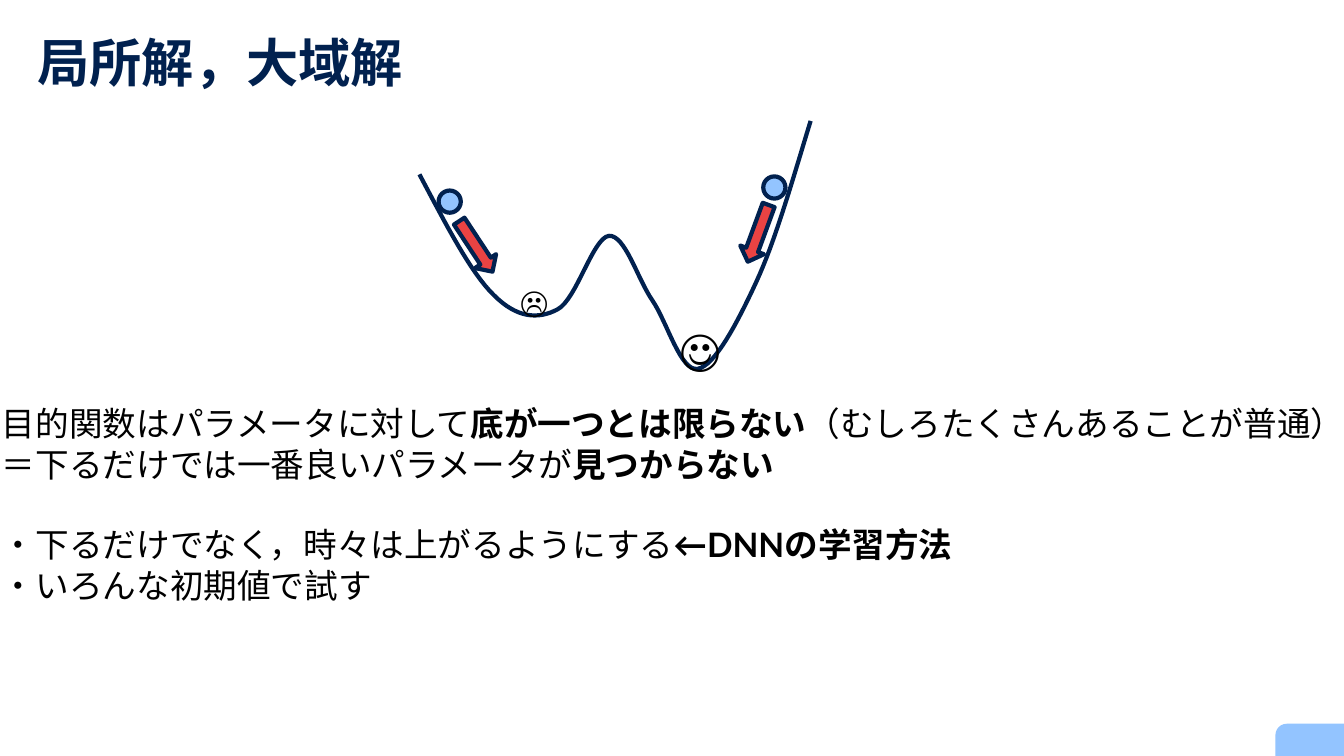
from lxml.etree import SubElement
from pptx import Presentation
from pptx.dml.color import RGBColor
from pptx.enum.shapes import MSO_SHAPE
from pptx.enum.text import MSO_ANCHOR, MSO_AUTO_SIZE, PP_ALIGN
from pptx.oxml.ns import qn
from pptx.util import Inches, Pt

NAVY, BLUE, RED, BLACK = "01214F", "93C4FF", "E94343", "000000"
FONT = "Lato"

VALLEY_START = (0, 0.53)
VALLEY_CURVES = [
    [(0.26, 1.02), (0.51, 1.51), (0.74, 1.73)],
    [(0.97, 1.96), (1.18, 1.97), (1.37, 1.87)],
    [(1.56, 1.77), (1.72, 1.16), (1.88, 1.14)],
    [(2.04, 1.13), (2.16, 1.56), (2.31, 1.78)],
    [(2.46, 2.0), (2.59, 2.49), (2.76, 2.46)],
    [(2.93, 2.43), (3.15, 2.01), (3.34, 1.6)],
    [(3.53, 1.19), (3.7, 0.59), (3.88, 0)],
]

NOTES = [
    [("目的関数はパラメータに対して", False), ("底が一つとは限らない", True),
     ("（むしろたくさんあることが普通）", False)],
    [("＝下るだけでは一番良いパラメータが", False), ("見つからない", True)],
    [("・下るだけでなく，時々は上がるようにする", False), ("←DNNの学習方法", True)],
    [("・いろんな初期値で試す", False)],
]


def rgb(value):
    return RGBColor.from_string(value)


def style_run(r, size, color, bold=False):
    r.font.size = Pt(size)
    r.font.bold = bold
    r.font.color.rgb = rgb(color)
    r.font.name = FONT
    SubElement(r._r.get_or_add_rPr(), qn("a:ea")).set("typeface", FONT)


def set_frame(tf):
    tf.margin_left = tf.margin_right = 0
    tf.margin_top = tf.margin_bottom = Inches(0.05)


def add_text(s, left, top, width, height):
    sp = s.shapes.add_textbox(Inches(left), Inches(top), Inches(width), Inches(height))
    tf = sp.text_frame
    set_frame(tf)
    tf.word_wrap = False
    tf.auto_size = MSO_AUTO_SIZE.SHAPE_TO_FIT_TEXT
    return tf


def add_shape(s, kind, left, top, width, height, fill, line=None):
    sp = s.shapes.add_shape(kind, Inches(left), Inches(top), Inches(width), Inches(height))
    sp.shadow.inherit = False
    sp.fill.solid()
    sp.fill.fore_color.rgb = rgb(fill)
    if line:
        sp.line.color.rgb = rgb(line)
        sp.line.width = Pt(3)
    else:
        sp.line.fill.background()
    return sp


def add_corner(s, left, top, width, height):
    sp = add_shape(s, MSO_SHAPE.ROUND_1_RECTANGLE, left, top, width, height, BLUE)
    sp.adjustments[0] = 0.35
    sp._element.spPr.find(qn("a:xfrm")).set("flipH", "1")


def add_title(s, left, top, width, height):
    sp = s.shapes.title
    sp.left, sp.top = Inches(left), Inches(top)
    sp.width, sp.height = Inches(width), Inches(height)
    tf = sp.text_frame
    tf.text = "局所解，大域解"
    set_frame(tf)
    tf.vertical_anchor = MSO_ANCHOR.MIDDLE
    p = tf.paragraphs[0]
    p.alignment = PP_ALIGN.LEFT
    style_run(p.runs[0], 37.3, NAVY, True)


def curve_points(start, curves, steps=16):
    for c1, c2, end in curves:
        for i in range(1, steps + 1):
            t = i / steps
            weights = ((1 - t) ** 3, 3 * t * (1 - t) ** 2, 3 * t * t * (1 - t), t ** 3)
            yield tuple(sum(w * point[axis] for w, point in zip(weights, (start, c1, c2, end)))
                        for axis in (0, 1))
        start = end


def add_valley(s, left, top):
    def place(x, y):
        return Inches(left + x), Inches(top + y)

    builder = s.shapes.build_freeform(*place(*VALLEY_START))
    builder.add_line_segments([place(x, y) for x, y in curve_points(VALLEY_START, VALLEY_CURVES)],
                              close=False)
    sp = builder.convert_to_shape()
    sp.shadow.inherit = False
    sp.fill.background()
    sp.line.color.rgb = rgb(NAVY)
    sp.line.width = Pt(3)

    for ball_x, ball_y, arrow_x, arrow_y, angle in [(0.19, 0.69, 0.26, 1.12, 56.6),
                                                    (3.41, 0.55, 3.06, 0.99, 110.2)]:
        add_shape(s, MSO_SHAPE.OVAL, left + ball_x, top + ball_y, 0.22, 0.22, BLUE, NAVY)
        arrow = add_shape(s, MSO_SHAPE.RIGHT_ARROW, left + arrow_x, top + arrow_y,
                          0.6, 0.25, RED, NAVY)
        arrow.rotation = angle

    for face, x, y, width, height, size, bold in [("☹", 1, 1.56, 0.26, 0.47, 22, False),
                                                  ("☺", 2.58, 1.94, 0.38, 0.64, 32, True)]:
        tf = add_text(s, left + x, top + y, width, height)
        tf.text = face
        style_run(tf.paragraphs[0].runs[0], size, BLACK, bold)


def add_notes(s, left, top, width, height):
    tf = add_text(s, left, top, width, height)
    for i, parts in enumerate(NOTES):
        p = tf.paragraphs[0] if i == 0 else tf.add_paragraph()
        for text, bold in parts:
            r = p.add_run()
            r.text = text
            style_run(r, 24, BLACK, bold)
    tf.paragraphs[2].space_before = Pt(28.8)


def main():
    prs = Presentation()
    prs.slide_width, prs.slide_height = Inches(13.33), Inches(7.5)
    s = prs.slides.add_slide(prs.slide_layouts[5])
    add_corner(s, 12.65, 7.18, 0.68, 0.32)
    add_title(s, 0.37, 0.23, 12.57, 0.76)
    add_valley(s, 4.16, 1.2)
    add_notes(s, 0.02, 3.95, 13.46, 2.12)
    prs.save("out.pptx")


if __name__ == "__main__":
    main()
